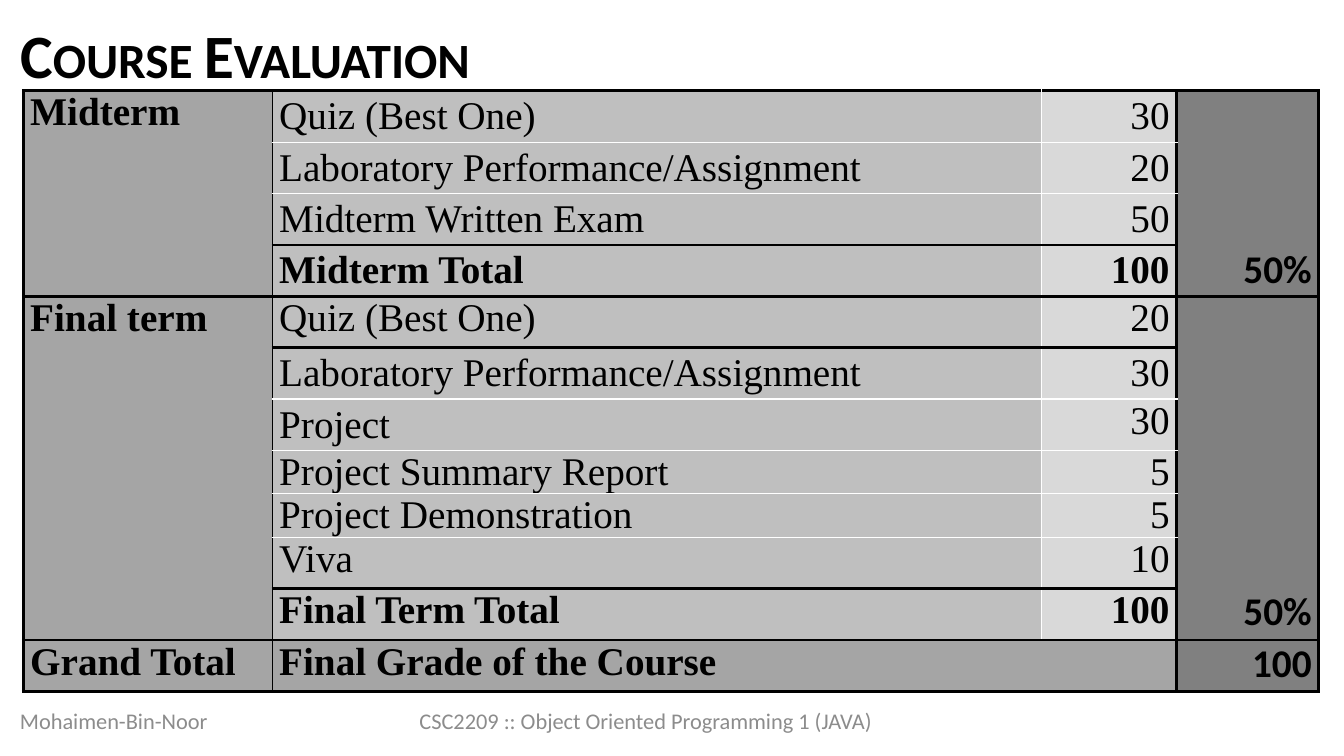
"""Build the course evaluation slide with its marks table."""
from pptx import Presentation
from pptx.dml.color import RGBColor
from pptx.enum.text import MSO_ANCHOR, MSO_AUTO_SIZE, PP_ALIGN
from pptx.oxml.ns import qn
from pptx.util import Inches, Pt
from lxml.etree import SubElement

BLACK = RGBColor(0x00, 0x00, 0x00)
WHITE = RGBColor(0xFF, 0xFF, 0xFF)
FOOTER_GRAY = RGBColor(0x8C, 0x8C, 0x8C)
TERM_FILL = RGBColor(0xA5, 0xA5, 0xA5)
TASK_FILL = RGBColor(0xBF, 0xBF, 0xBF)
MARK_FILL = RGBColor(0xD9, 0xD9, 0xD9)
WEIGHT_FILL = RGBColor(0x80, 0x80, 0x80)
NO_STYLE = "{2D5ABB26-0587-4C30-8999-92F81FD0307C}"
THICK, THIN_BLACK, THIN_WHITE = (BLACK, 2.25), (BLACK, 1), (WHITE, 1)


def add_run(p, text, size, font, color, bold=False):
    r = p.add_run()
    r.text = text
    r.font.size = Pt(size)
    r.font.name = font
    r.font.color.rgb = color
    r.font.bold = bold
    return r


def add_border(cell, side, line):
    tc_pr = cell._tc.get_or_add_tcPr()
    if line is None:
        SubElement(SubElement(tc_pr, qn("a:ln" + side), w="0"), qn("a:noFill"))
        return
    color, width = line
    ln = SubElement(tc_pr, qn("a:ln" + side), w=str(Pt(width)))
    SubElement(SubElement(ln, qn("a:solidFill")), qn("a:srgbClr"), val=str(color))


prs = Presentation()
prs.slide_width, prs.slide_height = Inches(13.33), Inches(7.5)
s = prs.slides.add_slide(prs.slide_layouts[5])

title = s.shapes.title
title.left, title.top, title.width, title.height = map(Inches, (0.1, 0.11, 13.1, 0.95))
tf = title.text_frame
tf.auto_size = MSO_AUTO_SIZE.NONE
tf.vertical_anchor = MSO_ANCHOR.MIDDLE
p = tf.paragraphs[0]
p.alignment = PP_ALIGN.LEFT
p.line_spacing = 0.9
r = add_run(p, "Course Evaluation", 44, "Calibri", BLACK, True)
r.font._element.set("cap", "small")

evaluation = [
    ("Midterm", "Quiz (Best One)", "30", ""),
    ("", "Laboratory Performance/Assignment", "20", ""),
    ("", "Midterm Written Exam", "50", ""),
    ("", "Midterm Total", "100", "50%"),
    ("Final term", "Quiz (Best One)", "20", ""),
    ("", "Laboratory Performance/Assignment", "30", ""),
    ("", "Project", "30", ""),
    ("", "Project Summary Report", "5", ""),
    ("", "Project Demonstration", "5", ""),
    ("", "Viva", "10", ""),
    ("", "Final Term Total", "100", "50%"),
    ("Grand Total", "Final Grade of the Course", "", "100"),
]
last = len(evaluation) - 1
total_rows = (3, 10, last)
section_ends = (-1, *total_rows)
thick_below = (*section_ends, 2, 4, 9)
middle_cells = {(i, j) for i in (0, 1, 2, 3, 5) for j in (1, 2)}
middle_cells |= {(6, 1), (7, 1), (8, 1), (3, 3)}
fills = (TERM_FILL, TASK_FILL, MARK_FILL, WEIGHT_FILL)
verticals = (THICK, THIN_BLACK, THIN_WHITE, THICK, THICK)

frame = s.shapes.add_table(len(evaluation), 4, Inches(0.23), Inches(0.9),
                           Inches(12.84), Inches(6.07))
tbl = frame.table
tbl.first_row = tbl.horz_banding = False
tbl._tbl.tblPr.find(qn("a:tableStyleId")).text = NO_STYLE
for col, width in zip(tbl.columns, (2.47, 7.63, 1.34, 1.41)):
    col.width = Inches(width)
for i, row in enumerate(tbl.rows):
    row.height = Inches(0.26 if i in (7, 8) else 0.51)
frame.height = Inches(6.07)
tbl.cell(last, 1).merge(tbl.cell(last, 2))

for i, texts in enumerate(evaluation):
    for j, text in enumerate(texts):
        cell = tbl.cell(i, j)
        cell.margin_left = cell.margin_right = Inches(0.07)
        cell.margin_top = cell.margin_bottom = 0
        cell.vertical_anchor = MSO_ANCHOR.MIDDLE if (i, j) in middle_cells else MSO_ANCHOR.TOP
        left, right = verticals[j], verticals[j + 1]
        if i == last and j in (1, 2):
            left, right = THIN_BLACK, THICK
        add_border(cell, "L", left)
        add_border(cell, "R", right)
        for side, above in (("T", i - 1), ("B", i)):
            if j in (1, 2):
                line = THICK if above in thick_below else THIN_WHITE
            else:
                line = THICK if above in section_ends else None
            add_border(cell, side, line)
        cell.fill.solid()
        cell.fill.fore_color.rgb = TERM_FILL if i == last and j < 3 else fills[j]
        if text:
            p = cell.text_frame.paragraphs[0]
            p.alignment = PP_ALIGN.RIGHT if j > 1 else PP_ALIGN.LEFT
            font = "Calibri" if j == 3 else "Times New Roman"
            add_run(p, text, 28, font, BLACK, j in (0, 3) or i in total_rows)

for left, width, align, text in (
    (3.89, 5.03, PP_ALIGN.CENTER, "CSC2209 :: Object Oriented Programming 1 (JAVA)"),
    (0.1, 2.86, PP_ALIGN.LEFT, "Mohaimen-Bin-Noor"),
):
    sp = s.shapes.add_textbox(Inches(left), Inches(6.95), Inches(width), Inches(0.4))
    tf = sp.text_frame
    tf.word_wrap = True
    tf.vertical_anchor = MSO_ANCHOR.MIDDLE
    p = tf.paragraphs[0]
    p.alignment = align
    add_run(p, text, 16, "Calibri", FOOTER_GRAY)

prs.save("out.pptx")
